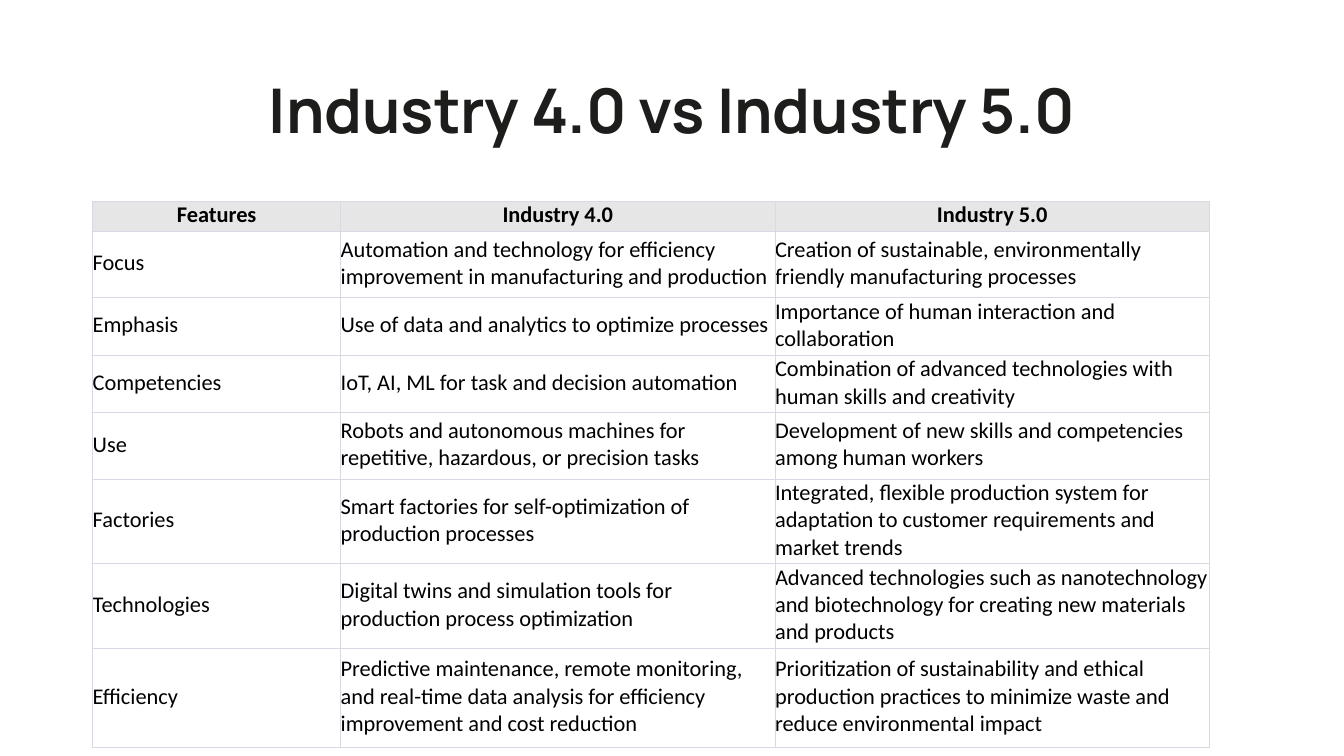
import pptx
import pptx.dml.color
import pptx.enum.text
import pptx.oxml
import pptx.oxml.ns
import pptx.util

RGBColor = pptx.dml.color.RGBColor
INK = RGBColor(0x1D, 0x1D, 0x1B)
BLACK = RGBColor(0, 0, 0)
HEADER_GREY = RGBColor(0xE7, 0xE6, 0xE6)
BORDER_LILAC = RGBColor(0xD9, 0xD9, 0xE3)
CENTER = pptx.enum.text.PP_ALIGN.CENTER
LEFT = pptx.enum.text.PP_ALIGN.LEFT
MIDDLE = pptx.enum.text.MSO_ANCHOR.MIDDLE

GRID_COLUMNS, GRID_ROWS = 160, 90
MARGIN = 11.04
COLUMN_SPANS = [29.52, 51.72, 51.72]
ROW_SPANS = [3.48, 7.92, 6.84, 6.84, 7.92, 10.08, 10.08, 11.76]

COMPARISON = [
    ("Features", "Industry 4.0", "Industry 5.0"),
    ("Focus",
     "Automation and technology for efficiency improvement in manufacturing and production",
     "Creation of sustainable, environmentally friendly manufacturing processes"),
    ("Emphasis",
     "Use of data and analytics to optimize processes",
     "Importance of human interaction and collaboration"),
    ("Competencies",
     "IoT, AI, ML for task and decision automation",
     "Combination of advanced technologies with human skills and creativity"),
    ("Use",
     "Robots and autonomous machines for repetitive, hazardous, or precision tasks",
     "Development of new skills and competencies among human workers"),
    ("Factories",
     "Smart factories for self-optimization of production processes",
     "Integrated, flexible production system for adaptation to customer requirements and market trends"),
    ("Technologies",
     "Digital twins and simulation tools for production process optimization",
     "Advanced technologies such as nanotechnology and biotechnology for creating new materials and products"),
    ("Efficiency",
     "Predictive maintenance, remote monitoring, and real-time data analysis for efficiency improvement and cost reduction",
     "Prioritization of sustainability and ethical production practices to minimize waste and reduce environmental impact"),
]


def apply_format(target, values):
    for name, value in values.items():
        setattr(target, name, value)


class ComparisonSlide:
    title_font = {"name": "Manrope", "size": pptx.util.Pt(44), "bold": True}
    cell_font = {"name": "Calibri", "size": pptx.util.Pt(16)}
    cell_format = {
        "margin_left": 0, "margin_right": 0, "margin_top": 0,
        "margin_bottom": pptx.util.Inches(0.02), "vertical_anchor": MIDDLE,
    }

    def __init__(self, presentation):
        self.column = presentation.slide_width / GRID_COLUMNS
        self.row = presentation.slide_height / GRID_ROWS
        self.slide = presentation.slides.add_slide(presentation.slide_layouts[5])

    def across(self, columns):
        return round(columns * self.column)

    def down(self, rows):
        return round(rows * self.row)

    def set_text(self, paragraph, text, font, color, alignment):
        paragraph.text = text
        paragraph.alignment = alignment
        apply_format(paragraph.font, font)
        paragraph.font.color.rgb = color

    def add_title(self, text, left, top, width, height):
        title = self.slide.shapes.title
        apply_format(title, {
            "left": self.across(left), "top": self.down(top),
            "width": self.across(width), "height": self.down(height),
        })
        apply_format(title.text_frame, {
            "vertical_anchor": MIDDLE, "word_wrap": True,
            "auto_size": pptx.enum.text.MSO_AUTO_SIZE.NONE,
        })
        paragraph = title.text_frame.paragraphs[0]
        self.set_text(paragraph, text, self.title_font, INK, CENTER)
        paragraph.line_spacing = 0.9

    def add_borders(self, cell):
        properties = cell._tc.get_or_add_tcPr()
        namespace = pptx.oxml.ns.nsdecls("a")
        for side in "LRTB":
            properties.append(pptx.oxml.parse_xml(
                f'<a:ln{side} {namespace} w="{pptx.util.Pt(0.5)}"><a:solidFill>'
                f'<a:srgbClr val="{BORDER_LILAC}"/></a:solidFill></a:ln{side}>'))

    def fill_cell(self, cell, text, is_header, alignment):
        apply_format(cell, self.cell_format)
        self.add_borders(cell)
        if is_header:
            cell.fill.solid()
            cell.fill.fore_color.rgb = HEADER_GREY
        else:
            cell.fill.background()
        font = {**self.cell_font, "bold": is_header}
        self.set_text(cell.text_frame.paragraphs[0], text, font, BLACK, alignment)

    def add_table(self, records, left, top, column_spans, row_spans):
        table = self.slide.shapes.add_table(
            len(row_spans), len(column_spans), self.across(left), self.down(top),
            self.across(sum(column_spans)), self.down(sum(row_spans))).table
        apply_format(table, {"first_row": False, "horz_banding": False})
        for column, span in zip(table.columns, column_spans):
            column.width = self.across(span)
        for index, (row, span, record) in enumerate(zip(table.rows, row_spans, records)):
            row.height = self.down(span)
            is_header = index == 0
            for cell, text in zip(row.cells, record):
                self.fill_cell(cell, text, is_header, CENTER if is_header else LEFT)


def main():
    presentation = pptx.Presentation()
    apply_format(presentation, {
        "slide_width": pptx.util.Inches(13.33),
        "slide_height": pptx.util.Inches(7.5),
    })
    comparison = ComparisonSlide(presentation)
    comparison.add_title("Industry 4.0 vs Industry 5.0", MARGIN, 4.8, 138, 17.4)
    comparison.add_table(COMPARISON, MARGIN, 24, COLUMN_SPANS, ROW_SPANS)
    presentation.save("out.pptx")


if __name__ == "__main__":
    main()
